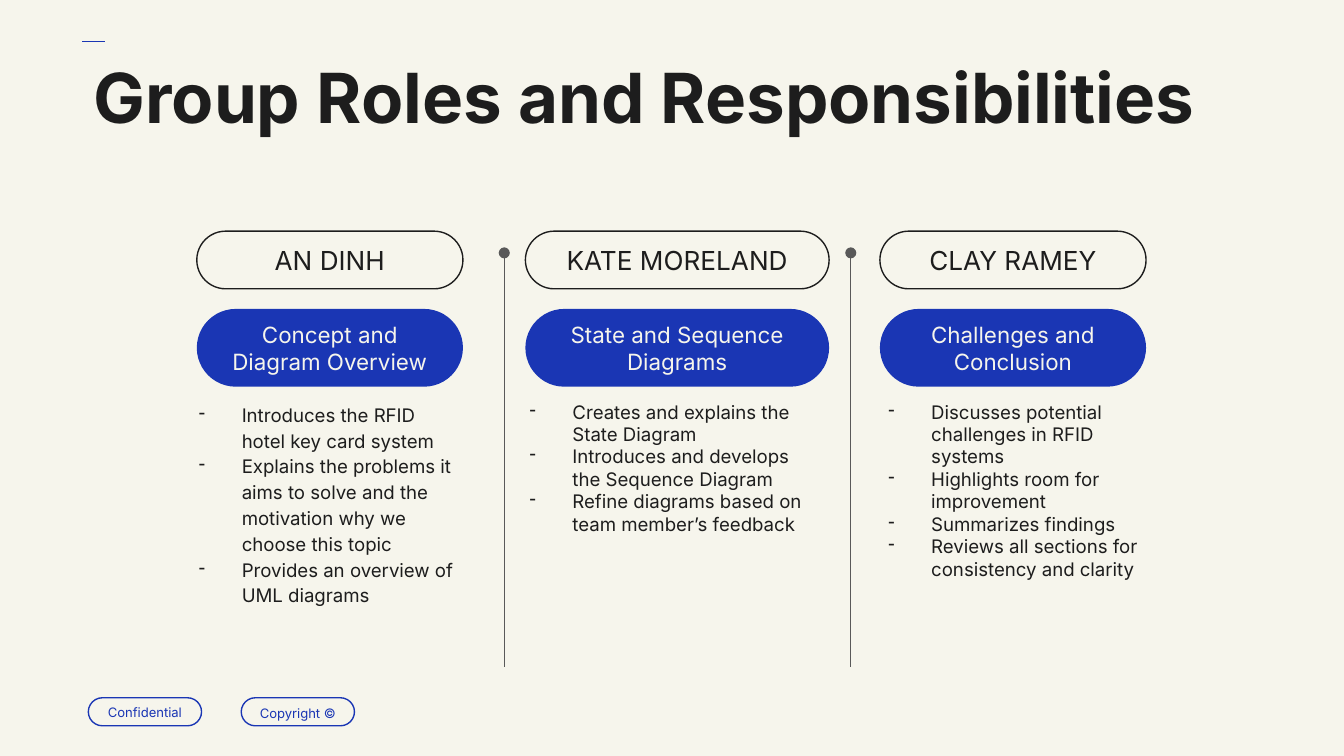
from lxml.etree import SubElement
from pptx import Presentation
from pptx.dml.color import RGBColor
from pptx.enum.shapes import MSO_CONNECTOR, MSO_SHAPE
from pptx.enum.text import MSO_ANCHOR, PP_ALIGN
from pptx.oxml.ns import qn
from pptx.util import Cm, Pt

CREAM = RGBColor(0xF6, 0xF5, 0xEC)
BLUE = RGBColor(0x1A, 0x36, 0xB4)
INK = RGBColor(0x1D, 0x1D, 0x1D)
GRAY = RGBColor(0x59, 0x59, 0x59)

COLUMNS = [
    ("AN DINH", "Concept and Diagram Overview", 3.72, 5.03, 3.05, 5.87, 1.15, [
        "Introduces the RFID hotel key card system",
        "Explains the problems it aims to solve and the motivation why we choose this topic",
        "Provides an overview of UML diagrams",
    ]),
    ("KATE MORELAND", "State and Sequence Diagrams", 9.93, 5.74, 9.3, 6.4, 1.0, [
        "Creates and explains the State Diagram",
        "Introduces and develops the Sequence Diagram",
        "Refine diagrams based on team member’s feedback",
    ]),
    ("CLAY RAMEY", "Challenges and Conclusion", 16.63, 5.03, 16.08, 5.87, 1.0, [
        "Discusses potential challenges in RFID systems",
        "Highlights room for improvement",
        "Summarizes findings",
        "Reviews all sections for consistency and clarity",
    ]),
]


class Deck:
    """Hold the slide style and the current slide, and draw each kind of element."""

    font = "Inter"
    inset = Cm(0.25)
    stroke = Pt(0.75)

    def __init__(self, prs):
        self.s = prs.slides.add_slide(prs.slide_layouts[6])
        self.s.background.fill.solid()
        self.s.background.fill.fore_color.rgb = CREAM

    def frame(self, sp, anchor):
        tf = sp.text_frame
        tf.word_wrap = True
        tf.vertical_anchor = anchor
        tf.margin_left = tf.margin_right = self.inset
        tf.margin_top = tf.margin_bottom = self.inset
        return tf

    def run(self, p, text, size, color, bold=False):
        r = p.add_run()
        r.text = text
        r.font.name = self.font
        r.font.size = Pt(size)
        r.font.bold = bold
        r.font.color.rgb = color

    def title(self, text, x, y, w, h):
        sp = self.s.shapes.add_textbox(Cm(x), Cm(y), Cm(w), Cm(h))
        p = self.frame(sp, MSO_ANCHOR.TOP).paragraphs[0]
        p.line_spacing = 0.8
        self.run(p, text, 37, INK, True)

    def pill(self, text, x, y, w, h, size, color, fill=None, spacing=1.0):
        sp = self.s.shapes.add_shape(MSO_SHAPE.ROUNDED_RECTANGLE, Cm(x), Cm(y), Cm(w), Cm(h))
        sp.adjustments[0] = 0.5
        sp.shadow.inherit = False
        if fill is None:
            sp.fill.background()
            sp.line.color.rgb = color
            sp.line.width = self.stroke
        else:
            sp.fill.solid()
            sp.fill.fore_color.rgb = fill
            sp.line.fill.background()
        p = self.frame(sp, MSO_ANCHOR.MIDDLE).paragraphs[0]
        p.alignment = PP_ALIGN.CENTER
        p.line_spacing = spacing
        self.run(p, text, size, color)

    def bullets(self, items, x, y, w, h, spacing):
        sp = self.s.shapes.add_textbox(Cm(x), Cm(y), Cm(w), Cm(h))
        tf = self.frame(sp, MSO_ANCHOR.TOP)
        for i, item in enumerate(items):
            p = tf.add_paragraph() if i else tf.paragraphs[0]
            p.line_spacing = spacing
            pPr = p._p.get_or_add_pPr()
            pPr.set("marL", str(Cm(1.27)))
            pPr.set("indent", str(-Cm(0.81)))
            color = SubElement(pPr, qn("a:buClr"))
            SubElement(color, qn("a:srgbClr"), val=str(INK))
            SubElement(pPr, qn("a:buChar"), char="-")
            self.run(p, item, 10, INK)

    def line(self, x1, y1, x2, y2, color, head=None):
        sp = self.s.shapes.add_connector(MSO_CONNECTOR.STRAIGHT, Cm(x1), Cm(y1), Cm(x2), Cm(y2))
        sp.line.color.rgb = color
        sp.line.width = self.stroke
        spPr = sp._element.spPr
        if head:
            SubElement(spPr.find(qn("a:ln")), qn("a:headEnd"), type=head)
        SubElement(spPr, qn("a:effectLst"))


def main():
    prs = Presentation()
    prs.slide_width, prs.slide_height = Cm(25.4), Cm(14.29)
    deck = Deck(prs)
    deck.line(1.98, 0.78, 1.55, 0.78, BLUE)
    deck.pill("Confidential", 1.67, 13.19, 2.14, 0.53, 7, BLUE)
    deck.pill("Copyright ©", 4.56, 13.19, 2.14, 0.53, 7, BLUE, spacing=1.15)
    deck.title("Group Roles and Responsibilities", 1.52, 1.09, 21.95, 2.9)
    for name, role, x, w, text_x, text_w, spacing, items in COLUMNS:
        deck.bullets(items, text_x, 7.32, text_w, 5.3, spacing)
        deck.pill(name, x, 4.37, w, 1.09, 14, INK)
        deck.pill(role, x, 5.84, w, 1.47, 12, CREAM, BLUE)
    for x in (9.53, 16.08):
        deck.line(x, 4.78, x, 12.6, GRAY, "oval")
    prs.save("out.pptx")


if __name__ == "__main__":
    main()
